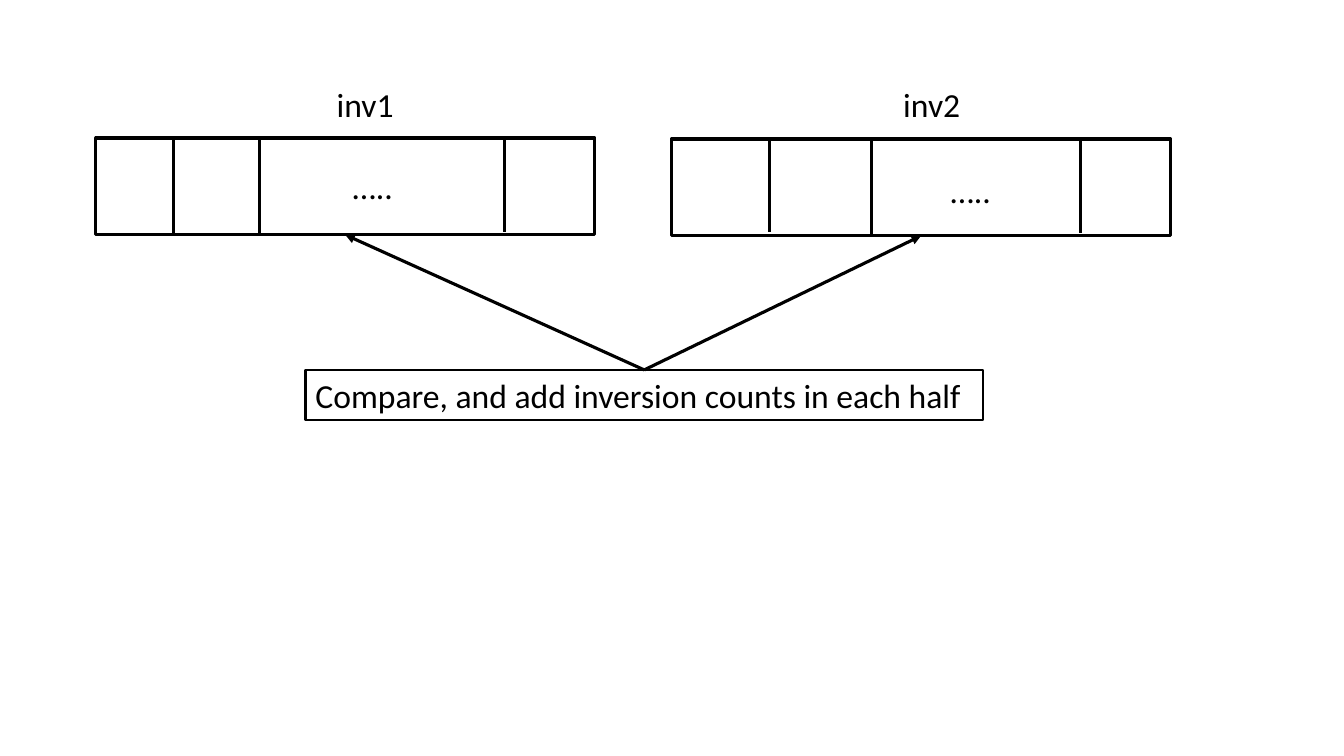
from dataclasses import dataclass

from lxml.etree import SubElement
from pptx import Presentation
from pptx.dml.color import RGBColor
from pptx.enum.shapes import MSO_CONNECTOR, MSO_SHAPE
from pptx.enum.text import MSO_ANCHOR, MSO_AUTO_SIZE, PP_ALIGN
from pptx.oxml.ns import qn
from pptx.util import Emu, Pt

EMU_PER_PX = 9144
TOP_SITE, BOTTOM_SITE = 0, 2


@dataclass(frozen=True)
class Theme:
    ink: RGBColor = RGBColor(0, 0, 0)
    paper: RGBColor = RGBColor(255, 255, 255)
    font: str = "Calibri"
    text_size: Pt = Pt(24)
    heavy_line: Pt = Pt(2.25)
    light_line: Pt = Pt(1.5)


class Board:
    def __init__(self, slide, theme):
        self.slide = slide
        self.theme = theme

    def px(self, *lengths):
        return [Emu(length * EMU_PER_PX) for length in lengths]

    def set_words(self, shape, words):
        frame = shape.text_frame
        frame.text = words
        frame.word_wrap = True
        frame.auto_size = MSO_AUTO_SIZE.SHAPE_TO_FIT_TEXT
        frame.vertical_anchor = MSO_ANCHOR.TOP
        paragraph = frame.paragraphs[0]
        paragraph.alignment = PP_ALIGN.LEFT
        font = paragraph.runs[0].font
        font.name = self.theme.font
        font.size = self.theme.text_size
        font.color.rgb = self.theme.ink

    def label(self, left, top, words):
        box = self.slide.shapes.add_textbox(*self.px(left, top, 82, 50))
        self.set_words(box, words)

    def frame(self, left, top, width, height, weight):
        rect = self.slide.shapes.add_shape(
            MSO_SHAPE.RECTANGLE, *self.px(left, top, width, height))
        rect.shadow.inherit = False
        rect.fill.background()
        rect.line.color.rgb = self.theme.ink
        rect.line.width = weight
        return rect

    def note(self, left, top, width, height, words):
        rect = self.frame(left, top, width, height, self.theme.light_line)
        rect.fill.solid()
        rect.fill.fore_color.rgb = self.theme.paper
        self.set_words(rect, words)
        return rect

    def line(self, x1, y1, x2, y2):
        connector = self.slide.shapes.add_connector(
            MSO_CONNECTOR.STRAIGHT, *self.px(x1, y1, x2, y2))
        connector.line.color.rgb = self.theme.ink
        connector.line.width = self.theme.heavy_line
        SubElement(connector._element.spPr, qn("a:effectLst"))
        return connector

    def arrow(self, source, target):
        connector = self.line(0, 0, 0, 0)
        connector.begin_connect(source, TOP_SITE)
        connector.end_connect(target, BOTTOM_SITE)
        outline = connector._element.spPr.find(qn("a:ln"))
        SubElement(outline, qn("a:tailEnd"), type="triangle")

    def array(self, left, top, dividers):
        cells = self.frame(left, top, 495, 96, self.theme.heavy_line)
        for x, y in dividers:
            self.line(x, y, x, y + 93)
        return cells


def main():
    presentation = Presentation()
    presentation.slide_width = Emu(1333 * EMU_PER_PX)
    presentation.slide_height = Emu(750 * EMU_PER_PX)
    slide = presentation.slides.add_slide(presentation.slide_layouts[6])
    board = Board(slide, Theme())

    inv1 = board.array(95, 137, [(172, 138), (257, 138), (500, 137)])
    inv2 = board.array(666, 138, [(763, 137), (864, 139), (1072, 138)])

    for left, top, words in [(324, 78, "inv1"), (886, 78, "inv2"),
                             (340, 160, "….."), (933, 164, "…..")]:
        board.label(left, top, words)

    compare = board.note(303, 367, 672, 50,
                         "Compare, and add inversion counts in each half")
    for half in (inv1, inv2):
        board.arrow(compare, half)

    presentation.save("out.pptx")


if __name__ == "__main__":
    main()
